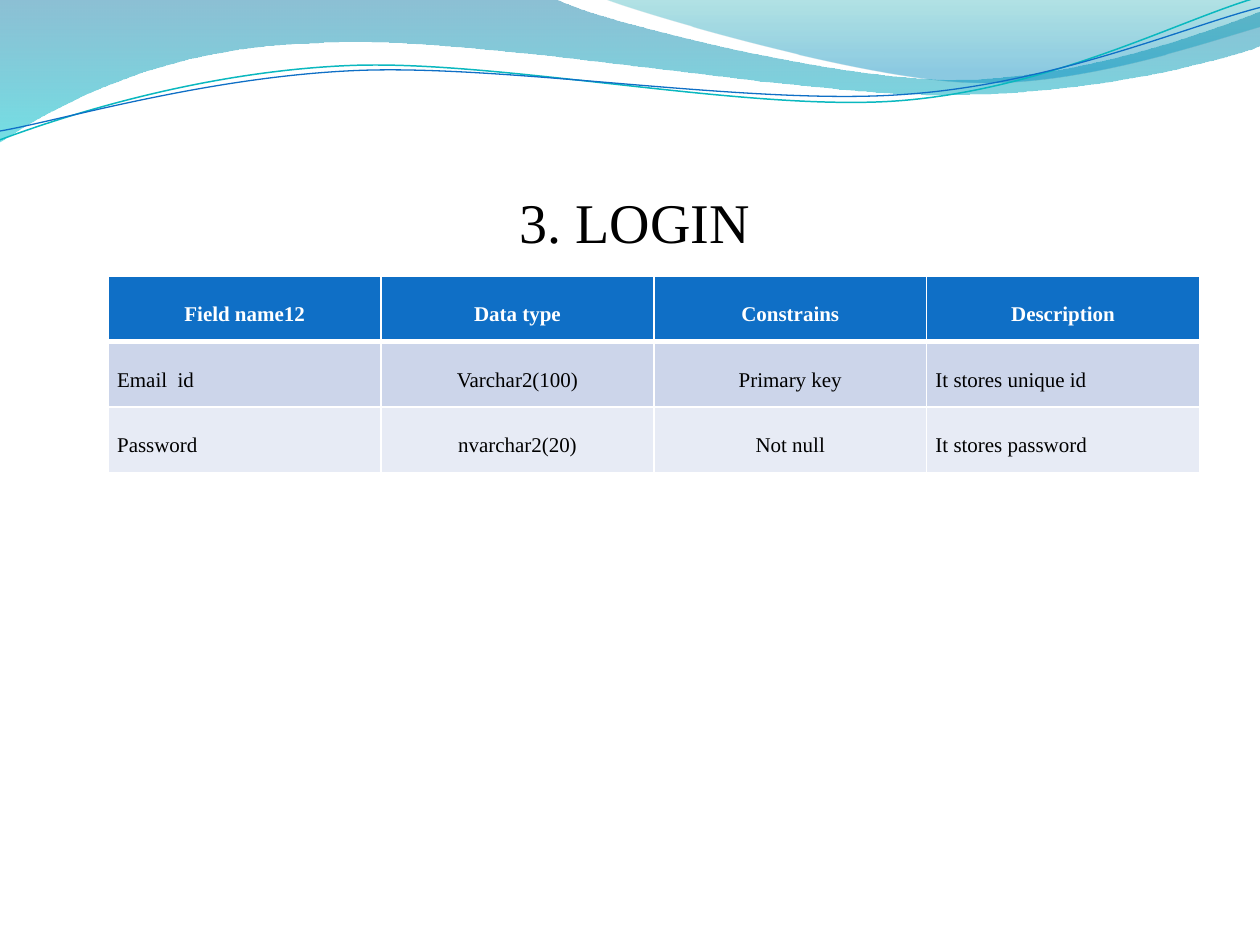
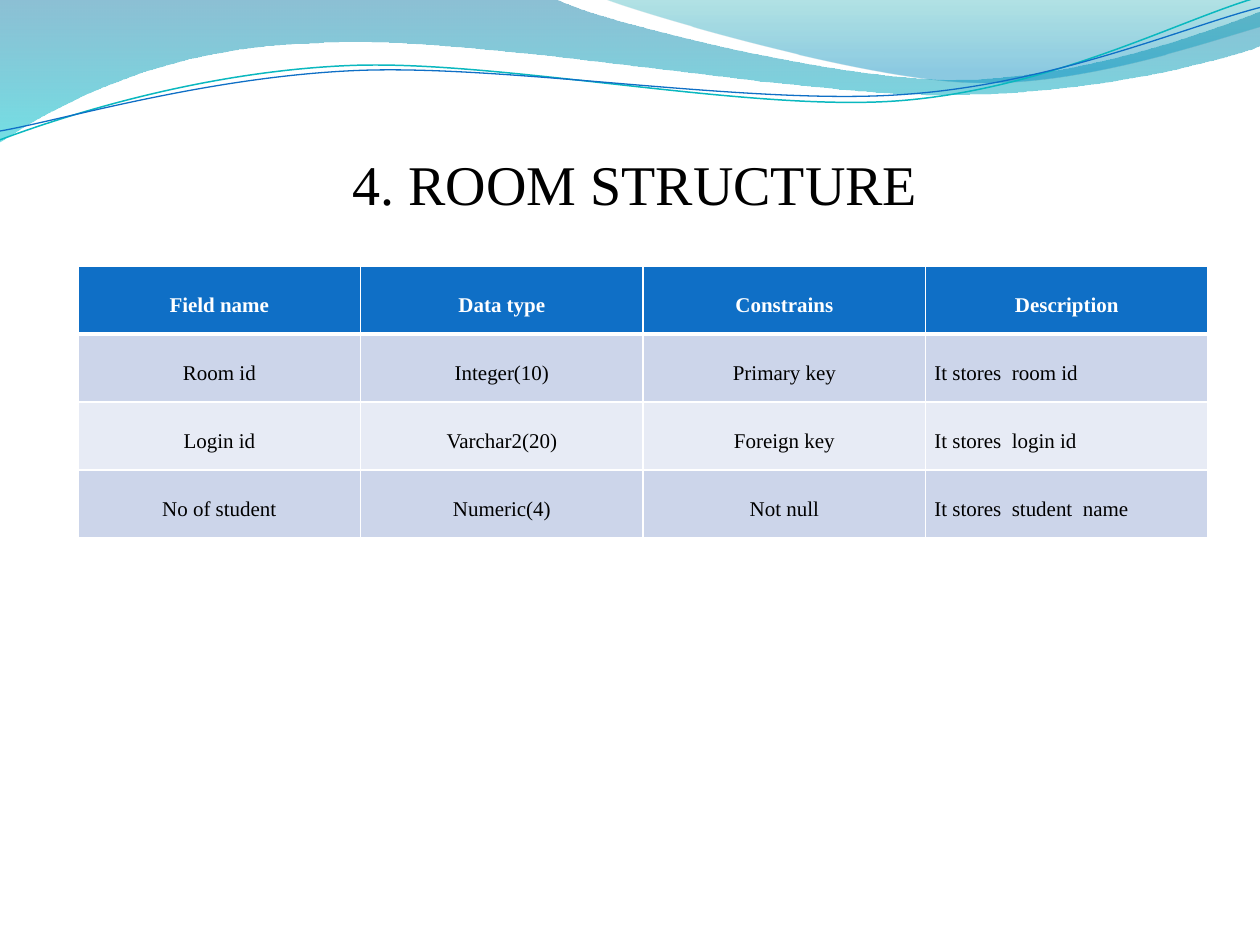
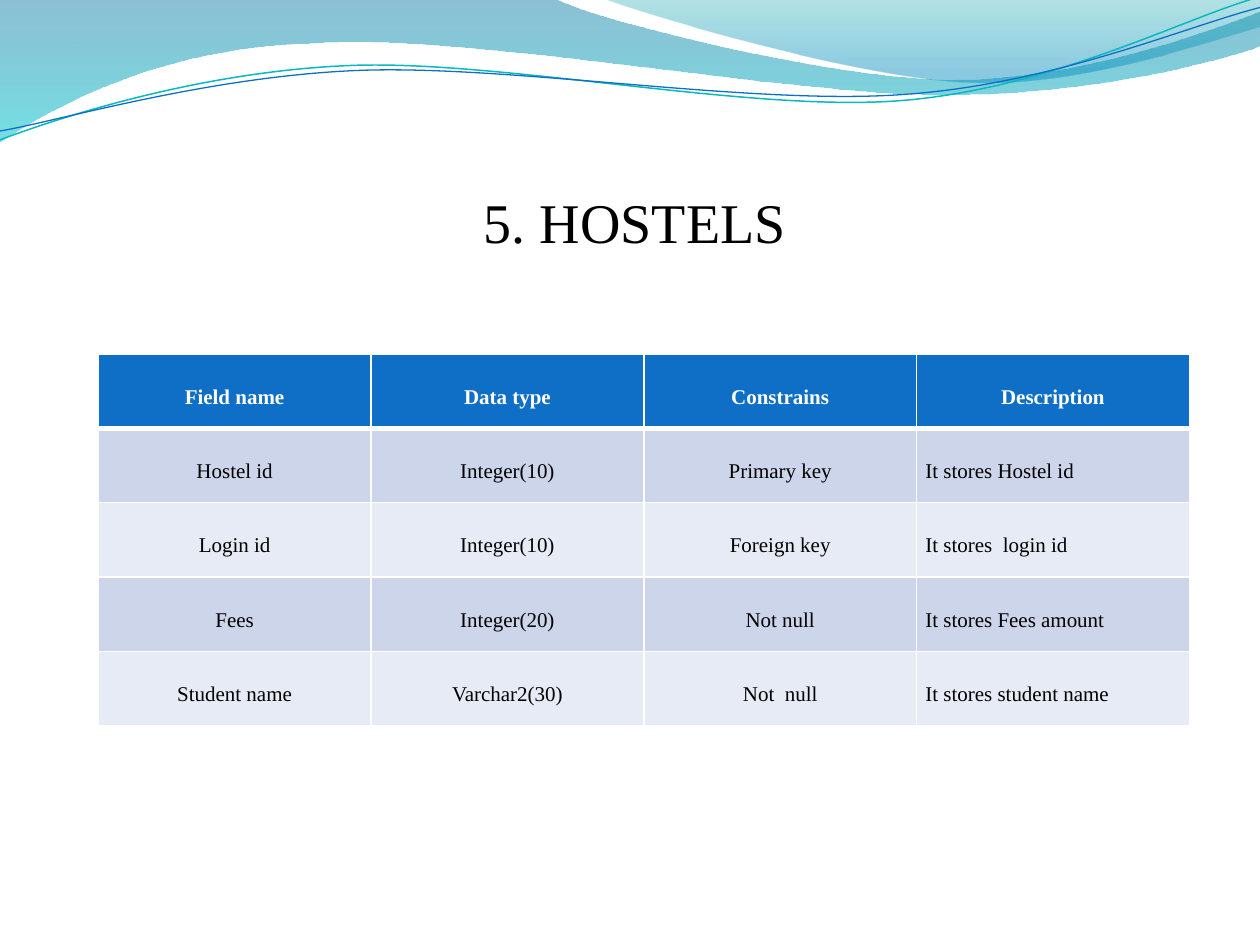
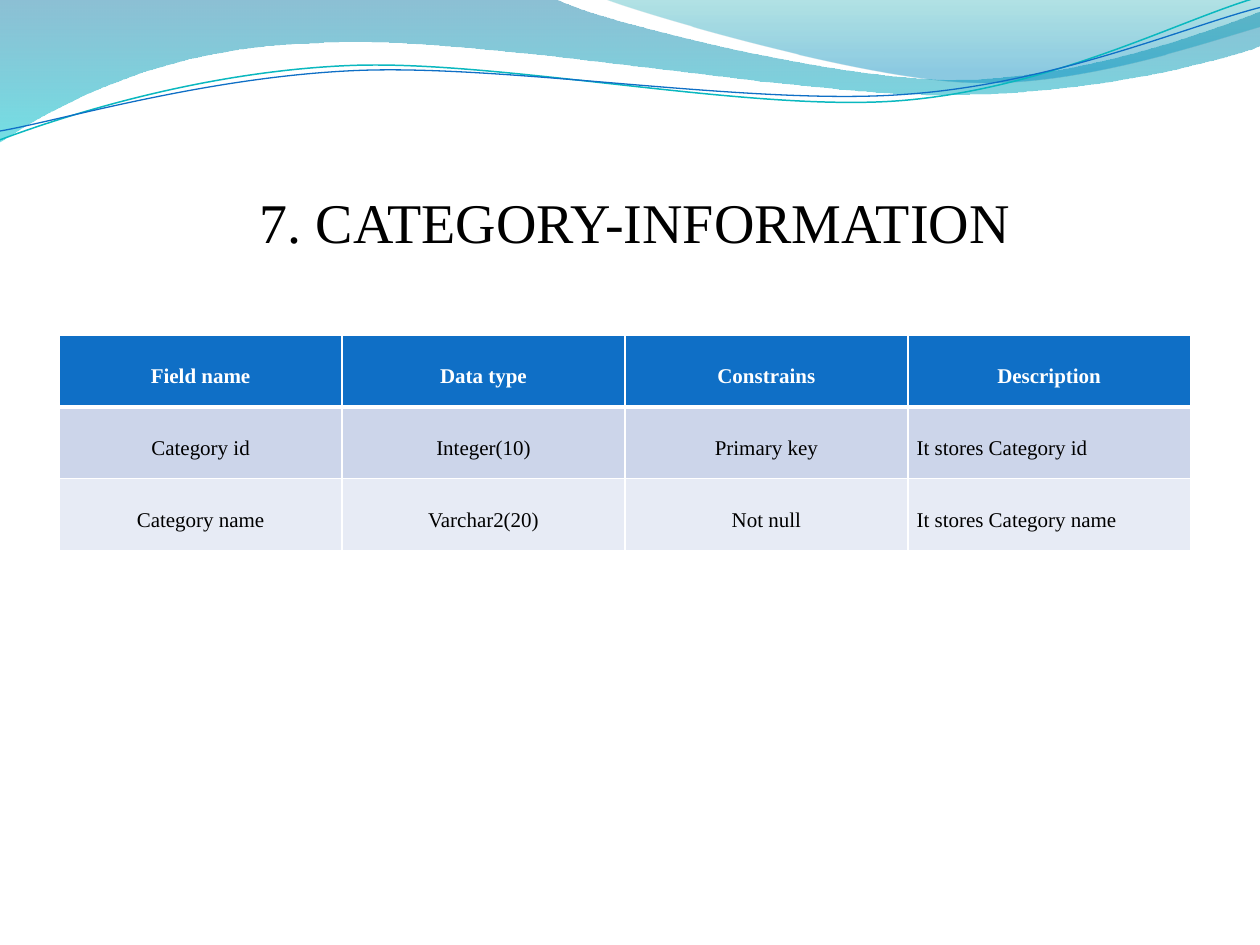
"""Build four slides that describe the tables of a hostel database."""
import math

import pptx
import pptx.dml.color
import pptx.enum.text
import pptx.oxml.ns
import pptx.oxml.xmlchemy
import pptx.util
from lxml import etree

RGB = pptx.dml.color.RGBColor
Inches = pptx.util.Inches
Pt = pptx.util.Pt
qn = pptx.oxml.ns.qn
ALIGN = pptx.enum.text.PP_ALIGN
ANCHOR = pptx.enum.text.MSO_ANCHOR

FONT = "Times New Roman"
BLACK = RGB(0x00, 0x00, 0x00)
WHITE = RGB(0xFF, 0xFF, 0xFF)
BLUE = RGB(0x0F, 0x6F, 0xC6)
TEAL = RGB(0x0A, 0xB8, 0xBF)
BAND_DARK = RGB(0xCC, 0xD5, 0xEA)
BAND_LIGHT = RGB(0xE7, 0xEB, 0xF5)

HEADERS = ("Field name", "Data type", "Constrains", "Description")
WAVE_TILT = -2.7

LEFT_WAVE = [
    [(0, 0)],
    [(4.4, -0.01)],
    [(4.76, 0.17), (6.64, 0.63), (7.58, 0.63)],
    [(8.53, 0.63), (9.58, 0.26), (10, 0.09)],
    [(10.01, 0.36)],
    [(9.83, 0.44), (8.7, 0.76), (7.46, 0.75)],
    [(6.22, 0.75), (3.82, 0.28), (2.57, 0.34)],
    [(1.29, 0.36), (0.46, 0.83), (-0.01, 1.13)],
    [(0, 0)],
]
RIGHT_WAVE = [
    [(4.79, -0.01)],
    [(5.09, 0.11), (6.82, 0.62), (7.69, 0.65)],
    [(8.56, 0.69), (9.61, 0.32), (10, 0.21)],
    [(10, 0)],
    [(4.79, -0.01)],
]
TEAL_CURVE = [
    [(0, 1.11)],
    [(0.48, 0.93), (1.58, 0.57), (2.77, 0.52)],
    [(3.95, 0.47), (5.93, 0.89), (7.13, 0.8)],
    [(8.33, 0.71), (9.38, 0.15), (9.98, -0.02)],
]
BLUE_CURVE = [
    [(0, 1.04)],
    [(0.47, 0.96), (1.64, 0.61), (2.83, 0.56)],
    [(4.03, 0.51), (5.97, 0.84), (7.17, 0.75)],
    [(8.36, 0.67), (9.41, 0.21), (10, 0.06)],
]
LEFT_STOPS = [(0, RGB(0x00, 0x74, 0xA1), 45), (1, RGB(0x00, 0xC6, 0xCF), 55)]
RIGHT_STOPS = [(0, RGB(0x00, 0xA1, 0xA9), 30), (0.8, RGB(0x00, 0x8B, 0xBF), 45)]


def rotate(point, center, degrees):
    """Turn a point clockwise about a center."""
    a = math.radians(degrees)
    dx, dy = point[0] - center[0], point[1] - center[1]
    return (center[0] + dx * math.cos(a) - dy * math.sin(a),
            center[1] + dx * math.sin(a) + dy * math.cos(a))


def add_outline(slide, segments, close):
    """Add a freeform whose three-point segments are Bezier curves."""
    points = [(Inches(x), Inches(y)) for seg in segments for x, y in seg]
    builder = slide.shapes.build_freeform(*points[0])
    builder.add_line_segments(points[1:], close=close)
    sp = builder.convert_to_shape()
    sp.shadow.inherit = False
    lines = iter(list(sp.element.iter(qn("a:lnTo"))))
    for seg in segments[1:]:
        first, *others = [next(lines) for _ in seg]
        if others:
            curve = first.makeelement(qn("a:cubicBezTo"))
            first.addprevious(curve)
            for line in (first, *others):
                curve.append(line[0])
                line.getparent().remove(line)
    return sp


def add_wave(slide, segments, stops):
    """Add a closed wave with a vertical, translucent gradient."""
    sp = add_outline(slide, segments, True)
    sp.line.fill.background()
    sp.fill.gradient()
    sp.fill.gradient_angle = 270
    for stop, (position, color, _) in zip(sp.fill.gradient_stops, stops):
        stop.position = position
        stop.color.rgb = color
    for clr, (_, _, opacity) in zip(sp.element.iter(qn("a:srgbClr")), stops):
        etree.SubElement(clr, qn("a:alpha")).set("val", str(opacity * 1000))
    return sp


def add_curve(slide, segments, center, color, width):
    """Add a tilted open curve."""
    level = [[rotate(pt, center, -WAVE_TILT) for pt in seg] for seg in segments]
    sp = add_outline(slide, level, False)
    sp.rotation = WAVE_TILT
    sp.fill.background()
    sp.line.color.rgb = color
    sp.line.width = Pt(width)
    return sp


def add_header_art(slide):
    """Draw the waves once and move them to the layout all slides share."""
    art = [
        add_wave(slide, LEFT_WAVE, LEFT_STOPS),
        add_wave(slide, RIGHT_WAVE, RIGHT_STOPS),
        add_curve(slide, TEAL_CURVE, (4.99, 0.57), TEAL, 0.85),
        add_curve(slide, BLUE_CURVE, (5, 0.59), BLUE, 0.75),
    ]
    for sp in art:
        slide.slide_layout.shapes.element.append(sp.element)


def write(tf, text, size, color, bold, align):
    """Fill a text frame with one formatted paragraph."""
    p = tf.paragraphs[0]
    p.text = text
    p.alignment = align
    for r in p.runs:
        r.font.name = FONT
        r.font.size = Pt(size)
        r.font.bold = bold
        r.font.color.rgb = color
    return p


def add_title(slide, text, height):
    """Add the centred, bottom-anchored slide title."""
    sp = slide.shapes.add_textbox(Inches(0.5), Inches(0.77), Inches(9.08), Inches(height))
    tf = sp.text_frame
    tf.word_wrap = True
    tf.vertical_anchor = ANCHOR.BOTTOM
    tf.margin_left = tf.margin_right = tf.margin_bottom = 0
    tf.margin_top = Inches(0.05)
    write(tf, text, 32, BLACK, False, ALIGN.CENTER)


def set_borders(cell, **widths):
    """Give a cell white borders, 1 pt unless a side names another width."""
    tc_pr = cell._tc.get_or_add_tcPr()
    for i, side in enumerate("LRTB"):
        ln = tc_pr.makeelement(qn(f"a:ln{side}"), {"w": str(Pt(widths.get(side, 1)))})
        fill = etree.SubElement(ln, qn("a:solidFill"))
        etree.SubElement(fill, qn("a:srgbClr")).set("val", str(WHITE))
        tc_pr.insert(i, ln)


def style_cell(cell, text, row, align):
    """Write one cell, styled by its row."""
    header = row == 0
    cell.margin_left = cell.margin_right = Inches(0.07)
    cell.margin_top = cell.margin_bottom = 0
    cell.vertical_anchor = ANCHOR.MIDDLE
    cell.fill.solid()
    cell.fill.fore_color.rgb = BLUE if header else (BAND_LIGHT, BAND_DARK)[row % 2]
    p = write(cell.text_frame, text, 12, WHITE if header else BLACK, header, align)
    p.line_spacing = 1.5
    set_borders(cell, T=3 if row == 1 else 1, B=3 if header else 1)


def add_field_table(slide, left, top, width, row_height, rows, headers=HEADERS, left_cols=(3,)):
    """Add a table of fields with equal columns and equal rows."""
    rows = [headers, *rows]
    table = slide.shapes.add_table(
        len(rows), len(headers), Inches(left), Inches(top),
        Inches(width), Inches(row_height * len(rows))).table
    for col in table.columns:
        col.width = Inches(width / len(headers))
    for i, texts in enumerate(rows):
        table.rows[i].height = Inches(row_height)
        for j, text in enumerate(texts):
            align = ALIGN.LEFT if i and j in left_cols else ALIGN.CENTER
            style_cell(table.cell(i, j), text, i, align)


def main():
    """Build and save the deck."""
    prs = pptx.Presentation()
    prs.slide_width, prs.slide_height = Inches(10), Inches(7.5)
    login, room, hostels, category = [
        prs.slides.add_slide(prs.slide_layouts[6]) for _ in range(4)]
    add_header_art(login)

    add_title(login, "3. LOGIN", 1.25)
    add_field_table(login, 0.86, 2.19, 8.66, 0.52, [
        ("Email  id", "Varchar2(100)", "Primary key", "It stores unique id"),
        ("Password", "nvarchar2(20)", "Not null", "It stores password"),
    ], headers=("Field name12", *HEADERS[1:]), left_cols=(0, 3))

    add_title(room, "4. ROOM STRUCTURE", 0.95)
    add_field_table(room, 0.62, 2.11, 8.97, 0.54, [
        ("Room id", "Integer(10)", "Primary key", "It stores  room id"),
        ("Login id", "Varchar2(20)", "Foreign key", "It stores  login id"),
        ("No of student", "Numeric(4)", "Not null", "It stores  student  name"),
    ])

    add_title(hostels, "5. HOSTELS", 1.25)
    add_field_table(hostels, 0.78, 2.81, 8.66, 0.59, [
        ("Hostel id", "Integer(10)", "Primary key", "It stores Hostel id"),
        ("Login id", "Integer(10)", "Foreign key", "It stores  login id"),
        ("Fees", "Integer(20)", "Not null", "It stores Fees amount"),
        ("Student name", "Varchar2(30)", "Not  null", "It stores student name"),
    ])

    add_title(category, "7. CATEGORY-INFORMATION", 1.25)
    add_field_table(category, 0.47, 2.66, 8.98, 0.57, [
        ("Category id", "Integer(10)", "Primary key", "It stores Category id"),
        ("Category name", "Varchar2(20)", "Not null", "It stores Category name"),
    ])

    prs.save("out.pptx")


if __name__ == "__main__":
    main()
